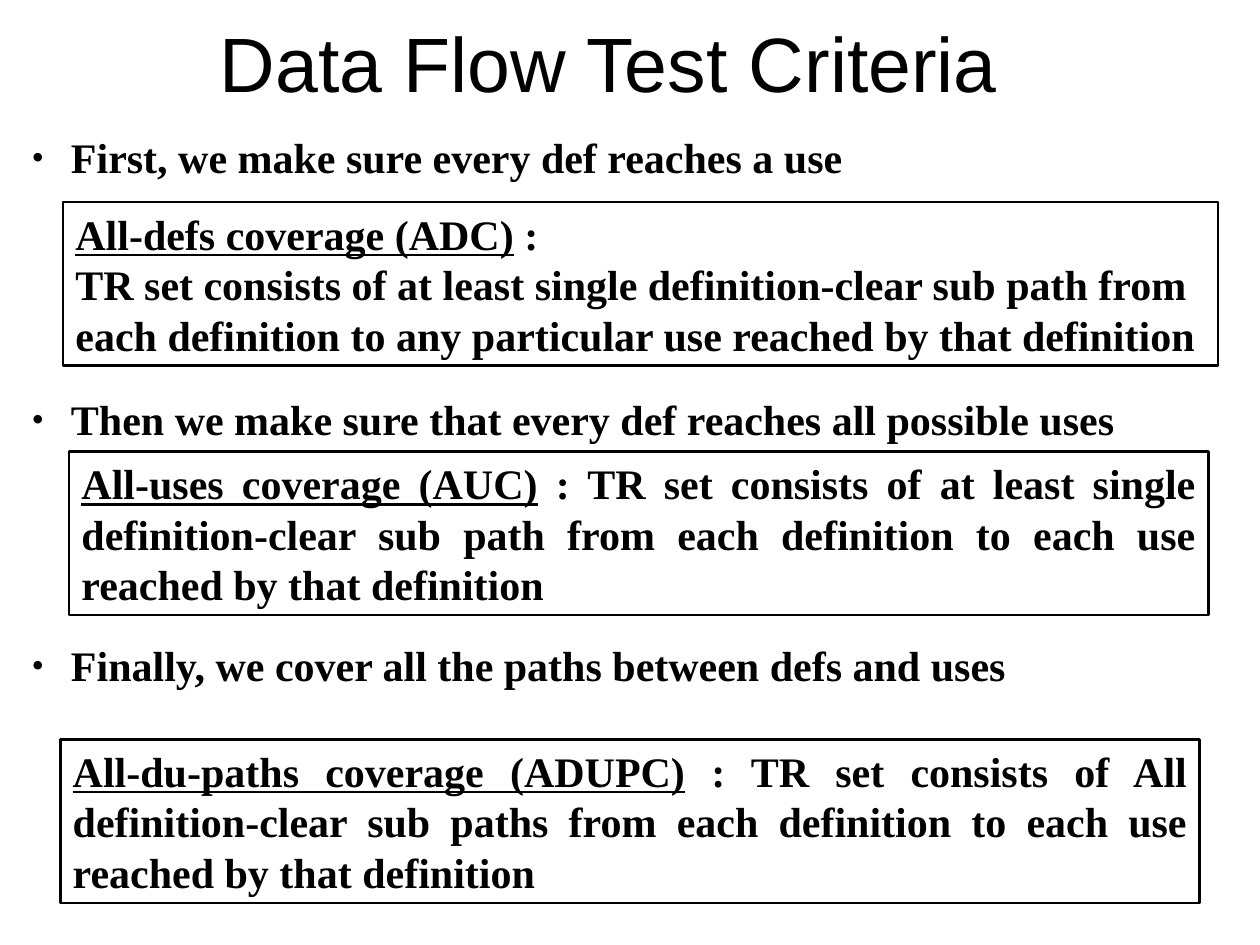
from lxml import etree
from pptx import Presentation
from pptx.dml.color import RGBColor
from pptx.enum import shapes, text
from pptx.oxml import ns
from pptx.util import Pt

BLACK = RGBColor(0, 0, 0)
TITLE_FONT, BODY_FONT = "Arial", "Times New Roman"
LEFT, JUSTIFY = text.PP_ALIGN.LEFT, text.PP_ALIGN.JUSTIFY

# Content: places are left, top, width, height in points
TITLE = "Data Flow Test Criteria"
TITLE_PLACE = (24, 0, 648, 70)

STEPS = [
    ("First, we make sure every def reaches a use", (11, 75, 698, 44)),
    ("Then we make sure that every def reaches all possible uses", (11, 224.5, 698, 34.5)),
    ("Finally, we cover all the paths between defs and uses", (11, 365, 698, 37.5)),
]

# Each paragraph is a list of (words, underlined) spans
CRITERIA = [
    ((36, 115.5, 660, 93.5), LEFT, [
        [("All-defs coverage (ADC)", True), (" :", False)],
        [("TR set consists of at least single definition-clear sub path from each "
          "definition to any particular use reached by that definition", False)],
    ]),
    ((39.5, 258, 651, 93.5), JUSTIFY, [
        [("All-uses coverage (AUC)", True),
         (" : TR set consists of at least single definition-clear sub path from each "
          "definition to each use reached by that definition", False)],
    ]),
    ((34.5, 422.5, 651, 93.5), JUSTIFY, [
        [("All-du-paths coverage (ADUPC)", True),
         (" : TR set consists of All definition-clear sub paths from each "
          "definition to each use reached by that definition", False)],
    ]),
]


def add_span(para, words, font=BODY_FONT, size=24, bold=True, underline=False):
    span = para.add_run()
    span.text = words
    span.font.name, span.font.size = font, Pt(size)
    span.font.bold, span.font.underline = bold, underline
    span.font.color.rgb = BLACK


def add_bullet(para, indent=22.5):
    props = para._p.get_or_add_pPr()
    props.set("marL", str(Pt(indent)))
    props.set("indent", str(Pt(-indent)))
    color = etree.SubElement(props, ns.qn("a:buClr"))
    etree.SubElement(color, ns.qn("a:srgbClr"), val=str(BLACK))
    etree.SubElement(props, ns.qn("a:buSzPct"), val="85000")
    etree.SubElement(props, ns.qn("a:buFont"), typeface=BODY_FONT)
    etree.SubElement(props, ns.qn("a:buChar"), char="•")


deck = Presentation()
deck.slide_width, deck.slide_height = Pt(720), Pt(540)
page = deck.slides.add_slide(deck.slide_layouts[5])

# Title
title = page.shapes.title
title.left, title.top, title.width, title.height = map(Pt, TITLE_PLACE)
title.text_frame.auto_size = text.MSO_AUTO_SIZE.NONE
title.text_frame.vertical_anchor = text.MSO_ANCHOR.MIDDLE
para = title.text_frame.paragraphs[0]
para.alignment = text.PP_ALIGN.CENTER
add_span(para, TITLE, TITLE_FONT, 44, bold=False)

# Framed definitions
for place, alignment, paragraphs in CRITERIA:
    box = page.shapes.add_shape(shapes.MSO_SHAPE.RECTANGLE, *map(Pt, place))
    box.shadow.inherit = False
    box.fill.background()
    box.line.color.rgb, box.line.width = BLACK, Pt(1.5)
    frame = box.text_frame
    frame.word_wrap = True
    frame.auto_size = text.MSO_AUTO_SIZE.SHAPE_TO_FIT_TEXT
    frame.vertical_anchor = text.MSO_ANCHOR.TOP
    for index, spans in enumerate(paragraphs):
        para = frame.add_paragraph() if index else frame.paragraphs[0]
        para.alignment = alignment
        for words, underline in spans:
            add_span(para, words, underline=underline)

# Bulleted steps between the frames
for words, place in STEPS:
    box = page.shapes.add_textbox(*map(Pt, place))
    box.text_frame.word_wrap = True
    para = box.text_frame.paragraphs[0]
    add_bullet(para)
    para.line_spacing = 0.9
    add_span(para, words)

deck.save("out.pptx")
